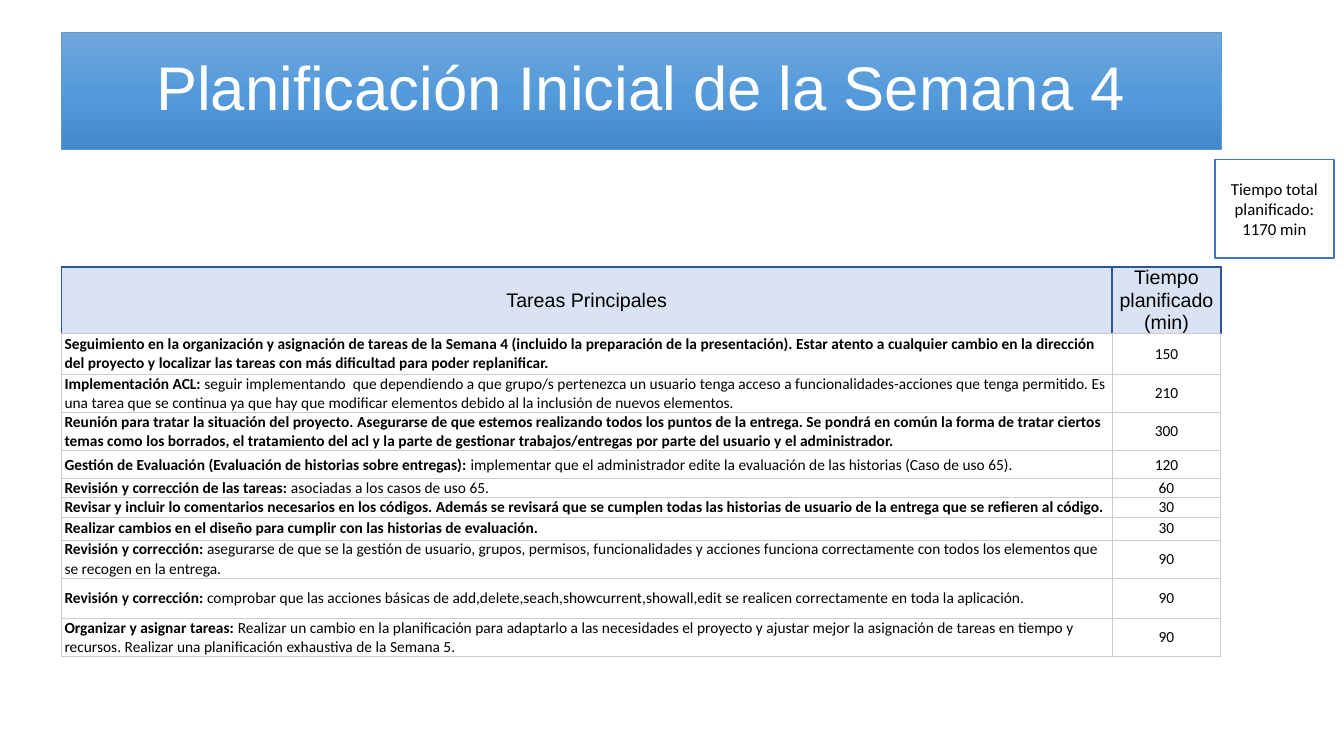
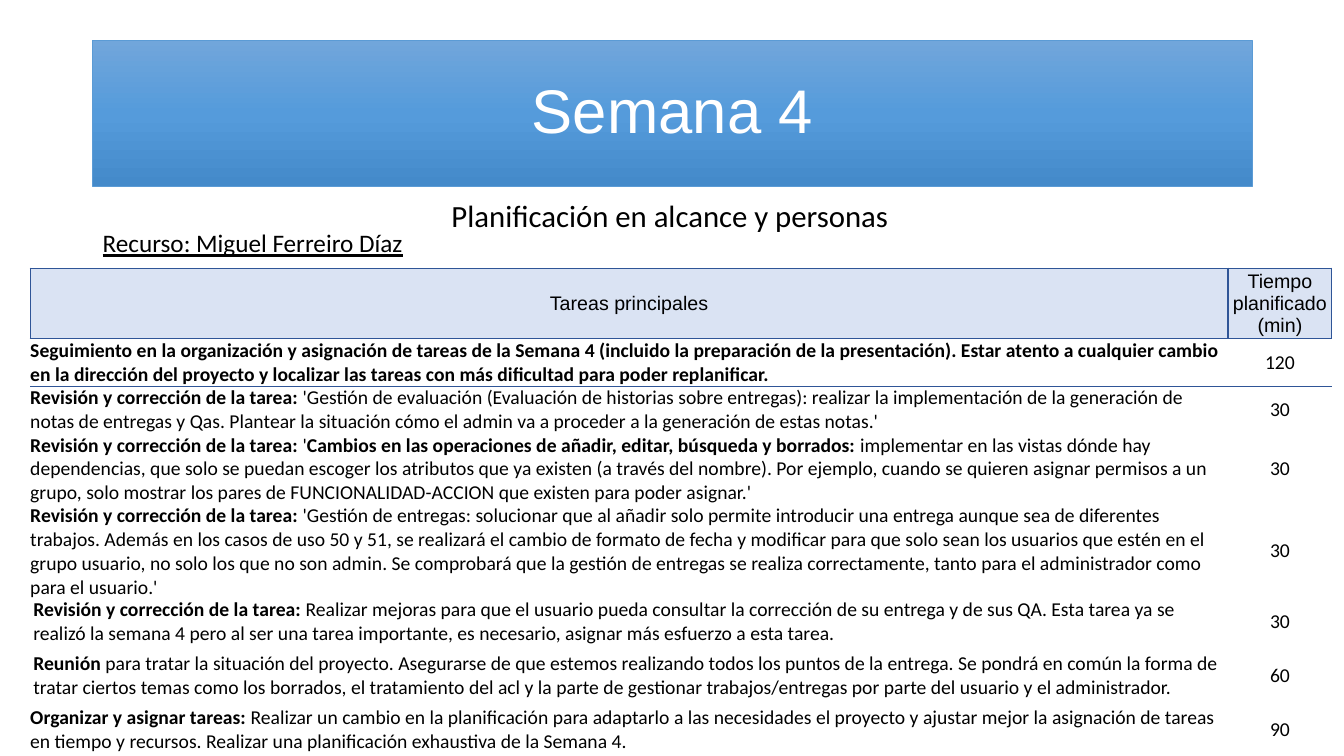
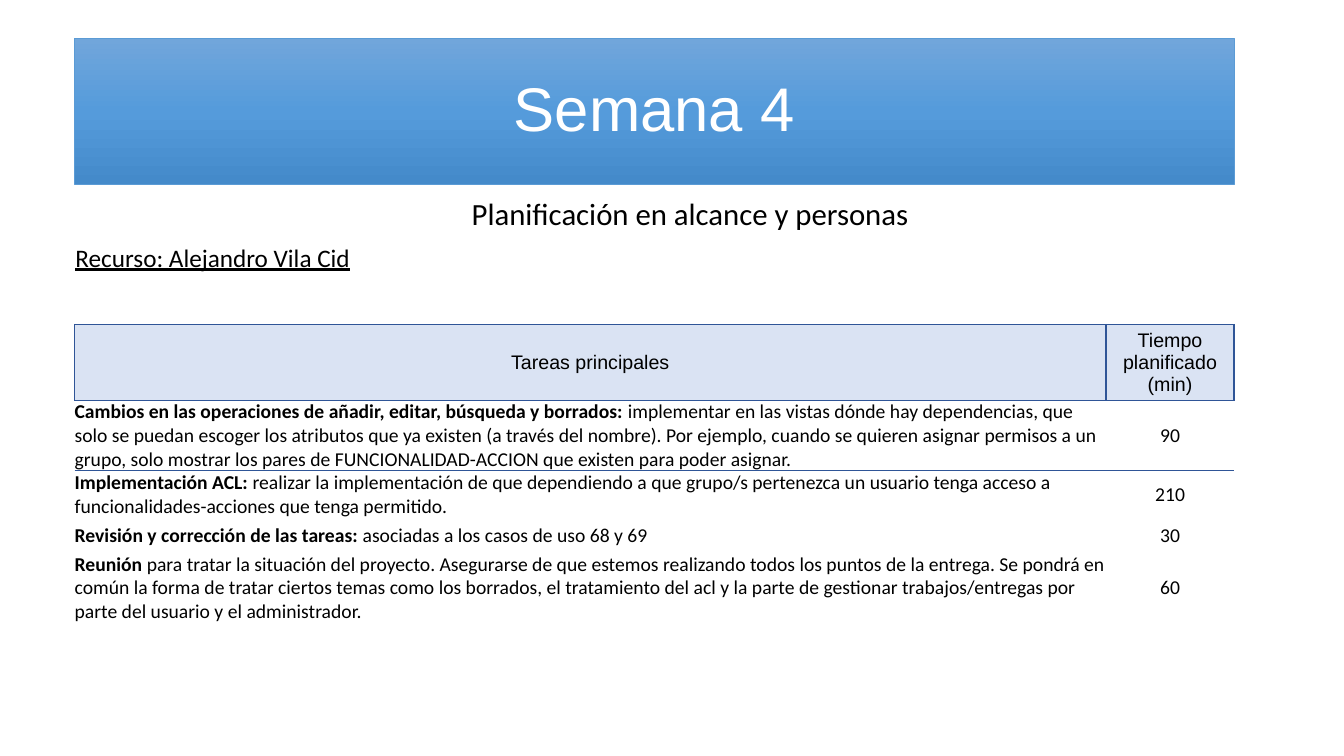
from pptx import Presentation
from pptx.dml.color import RGBColor
from pptx.enum.shapes import MSO_SHAPE
from pptx.enum.text import MSO_ANCHOR, MSO_AUTO_SIZE, PP_ALIGN
from pptx.oxml import parse_xml
from pptx.oxml.ns import nsdecls, qn
from pptx.util import Inches, Pt

RECT = MSO_SHAPE.RECTANGLE
MIDDLE = MSO_ANCHOR.MIDDLE
GROW = MSO_AUTO_SIZE.SHAPE_TO_FIT_TEXT
LEFT, CENTER = PP_ALIGN.LEFT, PP_ALIGN.CENTER

COLORS = {
    "text": "000000", "white": "FFFFFF",
    "band_top": "71A6DB", "band_mid": "559BDB", "band_end": "448ACA",
    "band_line": "5B9BD5", "note_line": "4472C4",
    "header": "DAE3F3", "header_line": "2F5597", "grid": "CCCCCC",
}
HEAD_FONT, BODY_FONT = "Arial", "Calibri"
NO_STYLE = "{2D5ABB26-0587-4C30-8999-92F81FD0307C}"
BAND_W = 11.5
INSET = 0.03
SUBTITLE = "Planificación en alcance y personas"

SEGUIMIENTO = (
    "Seguimiento en la organización y asignación de tareas de la Semana 4 (incluido la "
    "preparación de la presentación). Estar atento a cualquier cambio en la dirección del "
    "proyecto y localizar las tareas con más dificultad para poder replanificar.")
REUNION = (
    "para tratar la situación del proyecto. Asegurarse de que estemos realizando todos los "
    "puntos de la entrega. Se pondrá en común la forma de tratar ciertos temas como los "
    "borrados, el tratamiento del acl y la parte de gestionar trabajos/entregas por parte "
    "del usuario y el administrador.")
CAMBIOS = "Cambios en las operaciones de añadir, editar, búsqueda y borrados:"
VISTAS = (
    " implementar en las vistas dónde hay dependencias, que solo se puedan escoger los "
    "atributos que ya existen (a través del nombre). Por ejemplo, cuando se quieren asignar "
    "permisos a un grupo, solo mostrar los pares de FUNCIONALIDAD-ACCION que existen para "
    "poder asignar.")
ORGANIZAR = "Organizar y asignar tareas:"
REPLANIFICAR = (
    " Realizar un cambio en la planificación para adaptarlo a las necesidades el proyecto y "
    "ajustar mejor la asignación de tareas en tiempo y recursos. Realizar una planificación "
    "exhaustiva de la Semana ")
REVISION = "Revisión y corrección: "
REVISION_TAREA = "Revisión y corrección de la tarea: "
REVISION_TAREAS = "Revisión y corrección de las tareas:"
ACL = "Implementación ACL: "

# Each task: row height, minutes, then text parts alternating bold and regular.
TASKS_WEEK = [
    (0.41, 150, SEGUIMIENTO),
    (0.37, 210, ACL,
     "seguir implementando  que dependiendo a que grupo/s pertenezca un usuario tenga acceso "
     "a funcionalidades-acciones que tenga permitido. Es una tarea que se continua ya que "
     "hay que modificar elementos debido al la inclusión de nuevos elementos."),
    (0.37, 300, "Reunión " + REUNION),
    (0.28, 120, "Gestión de Evaluación (Evaluación de historias sobre entregas): ",
     "implementar que el administrador edite la evaluación de las historias (Caso de uso 65)."),
    (0.18, 60, REVISION_TAREAS, " asociadas a los casos de uso 65."),
    (0.18, 30,
     "Revisar y incluir lo comentarios necesarios en los códigos. Además se revisará que se "
     "cumplen todas las historias de usuario de la entrega que se refieren al código."),
    (0.23, 30, "Realizar cambios en el diseño para cumplir con las historias de evaluación."),
    (0.37, 90, REVISION,
     "asegurarse de que se la gestión de usuario, grupos, permisos, funcionalidades y "
     "acciones funciona correctamente con todos los elementos que se recogen en la entrega."),
    (0.4, 90, REVISION,
     "comprobar que las acciones básicas de add,delete,seach,showcurrent,showall,edit se "
     "realicen correctamente en toda la aplicación."),
    (0.37, 90, ORGANIZAR, REPLANIFICAR + "5."),
]
TASKS_MIGUEL = [
    (0.47, 120, SEGUIMIENTO),
    (0.47, 30, REVISION_TAREA,
     "'Gestión de evaluación (Evaluación de historias sobre entregas): realizar la "
     "implementación de la generación de notas de entregas y Qas. Plantear la situación cómo "
     "el admin va a proceder a la generación de estas notas.'"),
    (0.7, 30, REVISION_TAREA, "'", CAMBIOS, VISTAS + "'"),
    (0.93, 30, REVISION_TAREA,
     "'Gestión de entregas: solucionar que al añadir solo permite introducir una entrega "
     "aunque sea de diferentes trabajos. Además en los casos de uso 50 y 51, se realizará el "
     "cambio de formato de fecha y modificar para que solo sean los usuarios que estén en el "
     "grupo usuario, no solo los que no son admin. Se comprobará que la gestión de entregas "
     "se realiza correctamente, tanto para el administrador como para el usuario.'"),
    (0.47, 30, REVISION_TAREA,
     "Realizar mejoras para que el usuario pueda consultar la corrección de su entrega y de "
     "sus QA. Esta tarea ya se realizó la semana 4 pero al ser una tarea importante, es "
     "necesario, asignar más esfuerzo a esta tarea."),
    (0.6, 60, "Reunión ", REUNION),
    (0.47, 90, ORGANIZAR, REPLANIFICAR + "4."),
]
TASKS_ALEJANDRO = [
    (0.7, 90, CAMBIOS, VISTAS),
    (0.47, 210, ACL,
     "realizar la implementación de que dependiendo a que grupo/s pertenezca un usuario "
     "tenga acceso a funcionalidades-acciones que tenga permitido."),
    (0.34, 30, REVISION_TAREAS, " asociadas a los casos de uso 68 y 69"),
    (0.7, 60, "Reunión ", REUNION),
]


def rgb(name):
    return RGBColor.from_string(COLORS[name])


def add_run(p, text, size, font=BODY_FONT, color="text", bold=False):
    r = p.add_run()
    r.text = text
    r.font.size, r.font.name, r.font.bold = Pt(size), font, bold
    r.font.color.rgb = rgb(color)
    return r


def add_box(s, at, line, line_width):
    sp = s.shapes.add_shape(RECT, *map(Inches, at))
    sp.shadow.inherit = False
    sp.line.color.rgb = rgb(line)
    sp.line.width = Pt(line_width)
    tf = sp.text_frame
    tf.word_wrap = True
    tf.vertical_anchor = MIDDLE
    tf.paragraphs[0].alignment = CENTER
    return sp


def add_title(s, text, left, top, height):
    sp = add_box(s, (left, top, BAND_W, height), "band_line", 0.5)
    stops = "".join(
        f'<a:gs pos="{pos}"><a:srgbClr val="{COLORS[name]}"/></a:gs>'
        for pos, name in ((0, "band_top"), (50000, "band_mid"), (100000, "band_end")))
    gradient = parse_xml(
        f'<a:gradFill {nsdecls("a")} rotWithShape="1"><a:gsLst>{stops}</a:gsLst>'
        '<a:lin ang="5400000" scaled="0"/></a:gradFill>')
    sp._element.spPr.find(qn("a:prstGeom")).addnext(gradient)
    p = sp.text_frame.paragraphs[0]
    p.line_spacing = 0.9
    add_run(p, text, 44, HEAD_FONT, "white")


def add_note(s, text, at):
    sp = add_box(s, at, "note_line", 1)
    sp.fill.solid()
    sp.fill.fore_color.rgb = rgb("white")
    add_run(sp.text_frame.paragraphs[0], text, 12)


def add_label(s, text, at, size, underline=False):
    tf = s.shapes.add_textbox(*map(Inches, at)).text_frame
    tf.word_wrap = True
    tf.auto_size = GROW
    r = add_run(tf.paragraphs[0], text, size)
    r.font.underline = underline


def set_borders(cell, **sides):
    tc_pr = cell._tc.get_or_add_tcPr()
    for side in "BTRL":
        if side in sides:
            color, width = sides[side]
            tc_pr.insert(0, parse_xml(
                f'<a:ln{side} {nsdecls("a")} w="{Pt(width)}"><a:solidFill>'
                f'<a:srgbClr val="{COLORS[color]}"/></a:solidFill></a:ln{side}>'))


def fill_cell(cell, parts, align, inset, size, font=BODY_FONT, bold_first=False):
    cell.margin_left = cell.margin_right = Inches(inset)
    cell.margin_top = cell.margin_bottom = 0
    cell.vertical_anchor = MIDDLE
    cell.fill.background()
    p = cell.text_frame.paragraphs[0]
    p.alignment = align
    for i, part in enumerate(parts):
        add_run(p, part, size, font, bold=bold_first and i % 2 == 0)


def add_tasks(s, left, top, widths, header, header_height, tasks, size=14,
              inset=0, indented=(), header_line=1, grid=None):
    heights = [header_height] + [task[0] for task in tasks]
    frame = s.shapes.add_table(len(heights), 2, Inches(left), Inches(top),
                               Inches(sum(widths)), Inches(sum(heights)))
    table = frame.table
    table.first_row = table.horz_banding = False
    table._tbl.tblPr.find(qn("a:tableStyleId")).text = NO_STYLE
    for column, width in zip(table.columns, widths):
        column.width = Inches(width)
    for row, height in zip(table.rows, heights):
        row.height = Inches(height)

    edge = ("header_line", header_line)
    for cell, text in zip(table.rows[0].cells, (header, "Tiempo planificado (min)")):
        fill_cell(cell, [text], CENTER, inset, 14, HEAD_FONT)
        cell.fill.solid()
        cell.fill.fore_color.rgb = rgb("header")
        set_borders(cell, L=edge, R=edge, T=edge, B=grid or edge)

    for i, (_, minutes, *parts) in enumerate(tasks, 1):
        task_cell, time_cell = table.rows[i].cells
        task_inset = INSET if i in indented else inset
        fill_cell(task_cell, parts, LEFT, task_inset, size, bold_first=True)
        fill_cell(time_cell, [str(minutes)], CENTER, inset, size)
        if grid:
            for cell in (task_cell, time_cell):
                set_borders(cell, **dict.fromkeys("LRTB", grid))
        elif i == 1:
            for cell in (task_cell, time_cell):
                set_borders(cell, T=edge)


def week_slide(s):
    add_title(s, "Planificación Inicial de la Semana 4", 0.61, 0.32, 1.16)
    add_tasks(s, 0.61, 2.65, (10.42, 1.08), "Tareas Principales", 0.65, TASKS_WEEK,
              size=11, inset=INSET, header_line=1.5, grid=("grid", 0.75))
    add_note(s, "Tiempo total planificado: 1170 min", (12.05, 1.58, 1.18, 0.98))


def person_slide(s, name, title_at, subtitle_at, name_at):
    add_title(s, "Semana 4", *title_at, 1.45)
    add_label(s, SUBTITLE, (*subtitle_at, 4.57, 0.47), 22)
    add_label(s, f"Recurso: {name}", (*name_at, 3.67, 0.4), 18, underline=True)


def main():
    prs = Presentation()
    prs.slide_width, prs.slide_height = Inches(13.33), Inches(7.5)
    week, miguel, alejandro = (
        prs.slides.add_slide(prs.slide_layouts[6]) for _ in range(3))

    week_slide(week)

    person_slide(miguel, "Miguel Ferreiro Díaz", (0.92, 0.4), (4.38, 1.9), (0.92, 2.21))
    add_tasks(miguel, 0.3, 2.66, (11.88, 1.03), "Tareas principales", 0.69,
              TASKS_MIGUEL, indented=(5, 6))

    person_slide(alejandro, "Alejandro Vila Cid", (0.74, 0.38), (4.58, 1.88), (0.65, 2.35))
    add_tasks(alejandro, 0.74, 3.22, (10.23, 1.27), "Tareas principales", 0.75,
              TASKS_ALEJANDRO)

    prs.save("out.pptx")


if __name__ == "__main__":
    main()
